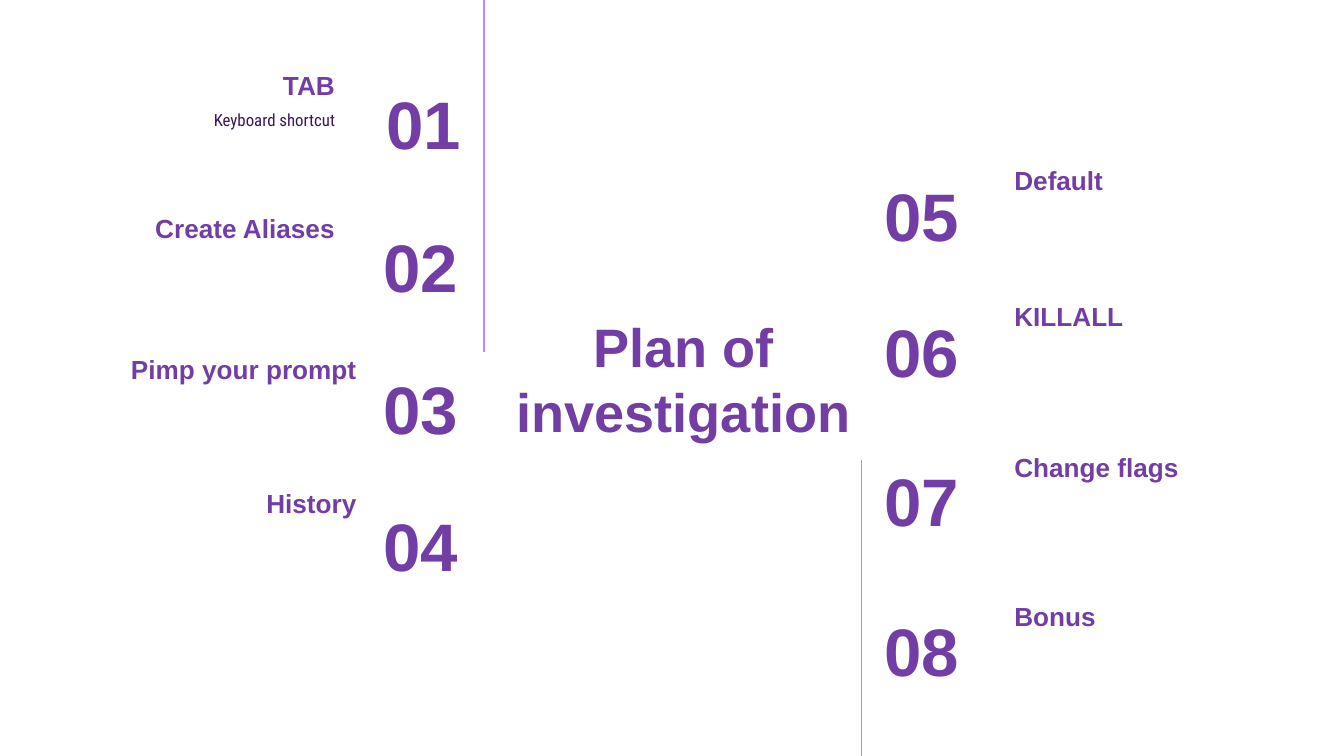
"""Build the plan slide: a central title between two numbered columns of topics."""
from dataclasses import dataclass

from lxml.etree import SubElement
from pptx import Presentation
from pptx.dml.color import RGBColor
from pptx.enum.shapes import MSO_CONNECTOR
from pptx.enum.text import MSO_ANCHOR as Anchor, MSO_AUTO_SIZE, PP_ALIGN as Align
from pptx.oxml.ns import qn
from pptx.util import Cm, Pt


@dataclass(frozen=True)
class Theme:
    heading_font: str = "Arial"
    body_font: str = "Roboto Condensed"
    purple: str = "723EA5"
    dark: str = "3A165E"
    rule: str = "C187FC"
    title_size: int = 29
    number_size: int = 36
    label_size: int = 14
    note_size: int = 9
    rule_width: float = 0.75
    inset: float = 0.25


THEME = Theme()
TITLE = "Plan of investigation"
TITLE_BOX = (9.4, 5.84, 7.04, 2.62)
NOTE = "Keyboard shortcut"
NOTE_BOX = (1.93, 1.83, 4.65, 1.6)
ROW_HEIGHT, LABEL_WIDTH = 1.6, 5.49

# label, label left, label top, number left, number top
COLUMNS = [
    {"align": Align.RIGHT, "number_width": 3.07, "topics": [
        ("TAB", 1.09, 0.56, 5.89, 1.52),
        ("Create Aliases", 1.09, 3.25, 5.84, 4.22),
        ("Pimp your prompt", 1.5, 5.92, 5.84, 6.91),
        ("History", 1.5, 8.46, 5.84, 9.5),
    ]},
    {"align": Align.LEFT, "number_width": 2.97, "topics": [
        ("Default", 18.92, 2.36, 16.46, 3.25),
        ("KILLALL", 18.92, 4.93, 16.46, 5.82),
        ("Change flags", 18.92, 7.77, 16.46, 8.64),
        ("Bonus", 18.92, 10.59, 16.46, 11.48),
    ]},
]
RULES = [(9.15, 0, 6.65), (16.28, 8.69, 14.29)]


def write(shape, box, text, size, align, anchor, font=THEME.heading_font,
          color=THEME.purple, bold=True):
    shape.left, shape.top, shape.width, shape.height = map(Cm, box)
    frame = shape.text_frame
    frame.text = text
    frame.word_wrap = True
    frame.auto_size = MSO_AUTO_SIZE.NONE
    frame.vertical_anchor = anchor
    frame.margin_left = frame.margin_right = Cm(THEME.inset)
    frame.margin_top = frame.margin_bottom = Cm(THEME.inset)
    paragraph = frame.paragraphs[0]
    paragraph.alignment = align
    paragraph.space_before = Pt(0)
    run_font = paragraph.runs[0].font
    run_font.name, run_font.size, run_font.bold = font, Pt(size), bold
    run_font.color.rgb = RGBColor.from_string(color)


def add_text(slide, box, *style):
    write(slide.shapes.add_textbox(*map(Cm, box)), box, *style)


def add_rule(slide, x, top, bottom):
    rule = slide.shapes.add_connector(
        MSO_CONNECTOR.STRAIGHT, Cm(x), Cm(top), Cm(x), Cm(bottom))
    rule.line.color.rgb = RGBColor.from_string(THEME.rule)
    rule.line.width = Pt(THEME.rule_width)
    SubElement(rule._element.spPr, qn("a:effectLst"))


def main():
    presentation = Presentation()
    presentation.slide_width, presentation.slide_height = Cm(25.4), Cm(14.29)
    slide = presentation.slides.add_slide(presentation.slide_layouts[0])
    title, note = slide.placeholders
    write(title, TITLE_BOX, TITLE, THEME.title_size, Align.CENTER, Anchor.MIDDLE)
    write(note, NOTE_BOX, NOTE, THEME.note_size, Align.RIGHT, Anchor.TOP,
          THEME.body_font, THEME.dark, False)
    for rule in RULES:
        add_rule(slide, *rule)
    number = 0
    for column in COLUMNS:
        align = column["align"]
        for label, label_left, label_top, number_left, number_top in column["topics"]:
            number += 1
            add_text(slide, (label_left, label_top, LABEL_WIDTH, ROW_HEIGHT),
                     label, THEME.label_size, align, Anchor.BOTTOM)
            add_text(slide, (number_left, number_top, column["number_width"], ROW_HEIGHT),
                     f"{number:02d}", THEME.number_size, align, Anchor.MIDDLE)
    presentation.save("out.pptx")


if __name__ == "__main__":
    main()
